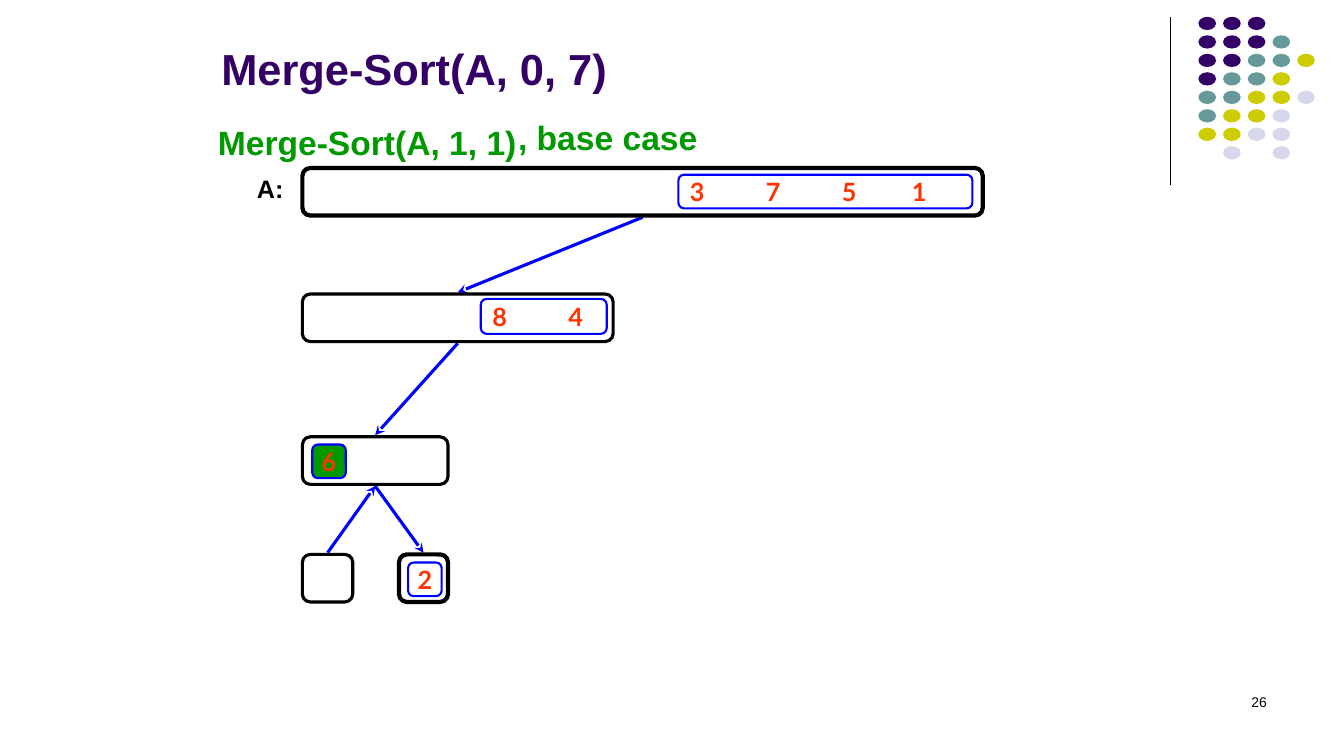
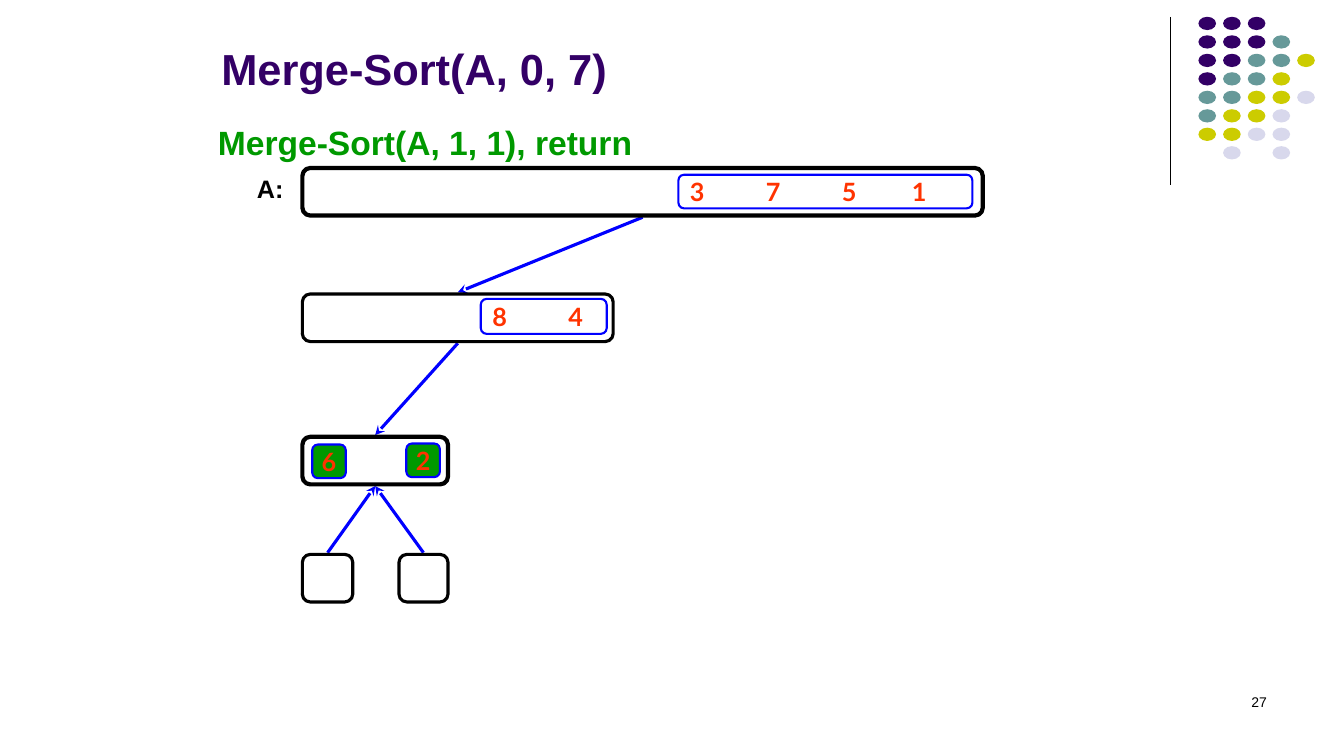
"""Build two slides that trace the merge-sort recursion on an eight-element array."""
from dataclasses import dataclass
from typing import Any, NamedTuple

from lxml import etree
from pptx import Presentation
from pptx import slide as s
from pptx import util as u
from pptx.dml import color as c
from pptx.enum import shapes, text
from pptx.oxml import ns


@dataclass(frozen=True)
class Theme:
    purple: str = "330066"
    teal: str = "669999"
    yellow: str = "CCCC00"
    lilac: str = "D8D8EC"
    black: str = "000000"
    blue: str = "0000FF"
    green: str = "009900"
    red: str = "FF3300"
    body_font: str = "Arial"
    value_font: str = "Lato"
    title_size: float = 31
    step_size: float = 24
    value_size: float = 18
    number_size: float = 10
    thin: float = 0.75
    medium: float = 1.5
    normal: float = 2.25
    active: float = 3


THEME = Theme()


class Box(NamedTuple):
    left: float
    top: float
    width: float
    height: float

    @property
    def center(self) -> float:
        return self.left + self.width / 2

    @property
    def bottom(self) -> float:
        return self.top + self.height


class Style(NamedTuple):
    size: float
    color: str
    font: str = THEME.body_font
    bold: bool = True
    align: Any = text.PP_ALIGN.LEFT


class Caption(NamedTuple):
    words: str
    box: Box


class Values(NamedTuple):
    box: Box
    digits: str
    done: bool = False


class Arrow(NamedTuple):
    upper: str
    lower: str
    upward: bool = False


class Step(NamedTuple):
    number: int
    captions: list[Caption]
    active: str
    values: list[Values]
    arrows: list[Arrow]


ROW_LEFT, ROW_HEIGHT, ARROW_GAP = 216, 34, 1.2
NODES = {
    "whole": Box(ROW_LEFT, 120, 486, ROW_HEIGHT),
    "half": Box(ROW_LEFT, 210, 222, ROW_HEIGHT),
    "quarter": Box(ROW_LEFT, 312, 104, ROW_HEIGHT),
    "left leaf": Box(ROW_LEFT, 396, 36, ROW_HEIGHT),
    "right leaf": Box(285, 396, 35, ROW_HEIGHT),
}
DOT_ROWS = ["PPP", "PPPT", "PPTTY", "PTTY", "TTYYL", "TYYL", "YYLL", " L L"]
DOT_COLORS = {"P": THEME.purple, "T": THEME.teal, "Y": THEME.yellow, "L": THEME.lilac}
TAB_STOPS = [54.3, 108.6, 158.6]
TITLE = Caption("Merge-Sort(A, 0, 7)", Box(151, 25, 594, 46))
ARRAY_LABEL = Caption("A:", Box(176.4, 120, 36, 29))
WAITING = [
    Values(Box(484.6, 124.8, 210, 24), "3751"),
    Values(Box(343.4, 213.5, 90, 25), "84"),
    Values(Box(223, 317.5, 24, 24), "6", True),
]
DESCENT = [Arrow("whole", "half"), Arrow("half", "quarter"), Arrow("quarter", "left leaf", True)]
STEPS = [
    Step(26, [Caption("Merge-Sort(A, 1, 1)", Box(148.5, 83.5, 245, 36)),
              Caption(", base case", Box(363, 80, 175, 36))],
         "right leaf",
         [*WAITING, Values(Box(291.5, 401.8, 24, 24), "2")],
         [*DESCENT, Arrow("quarter", "right leaf")]),
    Step(27, [Caption("Merge-Sort(A, 1, 1), return", Box(148.5, 83.5, 359, 36))],
         "quarter",
         [*WAITING, Values(Box(290.2, 316.8, 24, 24), "2", True)],
         [*DESCENT, Arrow("quarter", "right leaf", True)]),
]


def points(*lengths: float) -> list[u.Pt]:
    return [u.Pt(length) for length in lengths]


def apply(target: Any, formats: dict[str, Any]) -> None:
    for name, value in formats.items():
        setattr(target, name, value)


def write(shape: Any, words: str, style: Style, anchor: Any, margin: float = 7.2,
          wrap: bool = True) -> Any:
    frame = shape.text_frame
    apply(frame, {"word_wrap": wrap, "vertical_anchor": anchor,
                  "margin_left": u.Pt(margin), "margin_right": u.Pt(margin),
                  "margin_top": u.Pt(3.6), "margin_bottom": u.Pt(3.6)})
    paragraph = frame.paragraphs[0]
    paragraph.alignment = style.align
    run = paragraph.add_run()
    run.text = words
    apply(run.font, {"name": style.font, "size": u.Pt(style.size), "bold": style.bold})
    run.font.color.rgb = c.RGBColor.from_string(style.color)
    return paragraph


def add_text(slide: s.Slide, caption: Caption, style: Style,
             anchor: Any = text.MSO_ANCHOR.TOP, wrap: bool = True) -> None:
    shape = slide.shapes.add_textbox(*points(*caption.box))
    write(shape, caption.words, style, anchor, wrap=wrap)


def add_shape(slide: s.Slide, kind: Any, box: Box, fill: str = "", line: str = "",
              width: float = 0) -> Any:
    shape = slide.shapes.add_shape(kind, *points(*box))
    shape.shadow.inherit = False
    for part, color in ((shape.fill, fill), (shape.line.fill, line)):
        if color:
            part.solid()
            part.fore_color.rgb = c.RGBColor.from_string(color)
        else:
            part.background()
    if line:
        shape.line.width = u.Pt(width)
    return shape


def add_line(slide: s.Slide, start: tuple[float, float], end: tuple[float, float],
             color: str, width: float, arrow: bool = False) -> None:
    connector = slide.shapes.add_connector(
        shapes.MSO_CONNECTOR.STRAIGHT, *points(*start, *end))
    connector.line.width = u.Pt(width)
    connector.line.color.rgb = c.RGBColor.from_string(color)
    if arrow:
        etree.SubElement(connector.line._get_or_add_ln(), ns.qn("a:tailEnd"), type="stealth")
    etree.SubElement(connector._element.spPr, ns.qn("a:effectLst"))


def add_arrow(slide: s.Slide, arrow: Arrow) -> None:
    upper, lower = NODES[arrow.upper], NODES[arrow.lower]
    ends = [(upper.center, upper.bottom + ARROW_GAP), (lower.center, lower.top - ARROW_GAP)]
    if arrow.upward:
        ends.reverse()
    add_line(slide, *ends, THEME.blue, THEME.normal, arrow=True)


def add_values(slide: s.Slide, values: Values) -> None:
    shape = add_shape(slide, shapes.MSO_SHAPE.ROUNDED_RECTANGLE, values.box,
                      THEME.green if values.done else "", THEME.blue, THEME.medium)
    single = len(values.digits) == 1
    style = Style(THEME.value_size, THEME.red, THEME.value_font,
                  align=text.PP_ALIGN.CENTER if single else text.PP_ALIGN.LEFT)
    paragraph = write(shape, "\t".join(values.digits), style, text.MSO_ANCHOR.MIDDLE,
                      0 if single else 7.2)
    if not single:
        tabs = etree.SubElement(paragraph._p.get_or_add_pPr(), ns.qn("a:tabLst"))
        for stop in TAB_STOPS[:len(values.digits) - 1]:
            etree.SubElement(tabs, ns.qn("a:tab"), pos=str(int(u.Pt(stop))), algn="l")


def add_frame(slide: s.Slide, number: int) -> None:
    add_line(slide, (836, 12), (836, 132), THEME.black, THEME.thin)
    for row, colors in enumerate(DOT_ROWS):
        for column, key in enumerate(colors):
            if key in DOT_COLORS:
                dot = Box(856 + column * 17.64, 12 + row * 13.2, 12.6, 9.5)
                add_shape(slide, shapes.MSO_SHAPE.OVAL, dot, DOT_COLORS[key])
    add_text(slide, TITLE, Style(THEME.title_size, THEME.purple), text.MSO_ANCHOR.BOTTOM)
    add_text(slide, Caption(str(number), Box(688, 492, 224, 36)),
             Style(THEME.number_size, THEME.black, bold=False, align=text.PP_ALIGN.RIGHT))


def add_step(slide: s.Slide, step: Step) -> None:
    add_frame(slide, step.number)
    for arrow in step.arrows:
        add_arrow(slide, arrow)
    for name, box in NODES.items():
        width = THEME.active if name in ("whole", step.active) else THEME.normal
        add_shape(slide, shapes.MSO_SHAPE.ROUNDED_RECTANGLE, box, "", THEME.black, width)
    for values in step.values:
        add_values(slide, values)
    for caption in step.captions:
        add_text(slide, caption, Style(THEME.step_size, THEME.green))
    add_text(slide, ARRAY_LABEL, Style(THEME.value_size, THEME.black), wrap=False)


def main() -> None:
    presentation = Presentation()
    apply(presentation, {"slide_width": u.Pt(960), "slide_height": u.Pt(540)})
    for step in STEPS:
        add_step(presentation.slides.add_slide(presentation.slide_layouts[6]), step)
    presentation.save("out.pptx")


if __name__ == "__main__":
    main()
